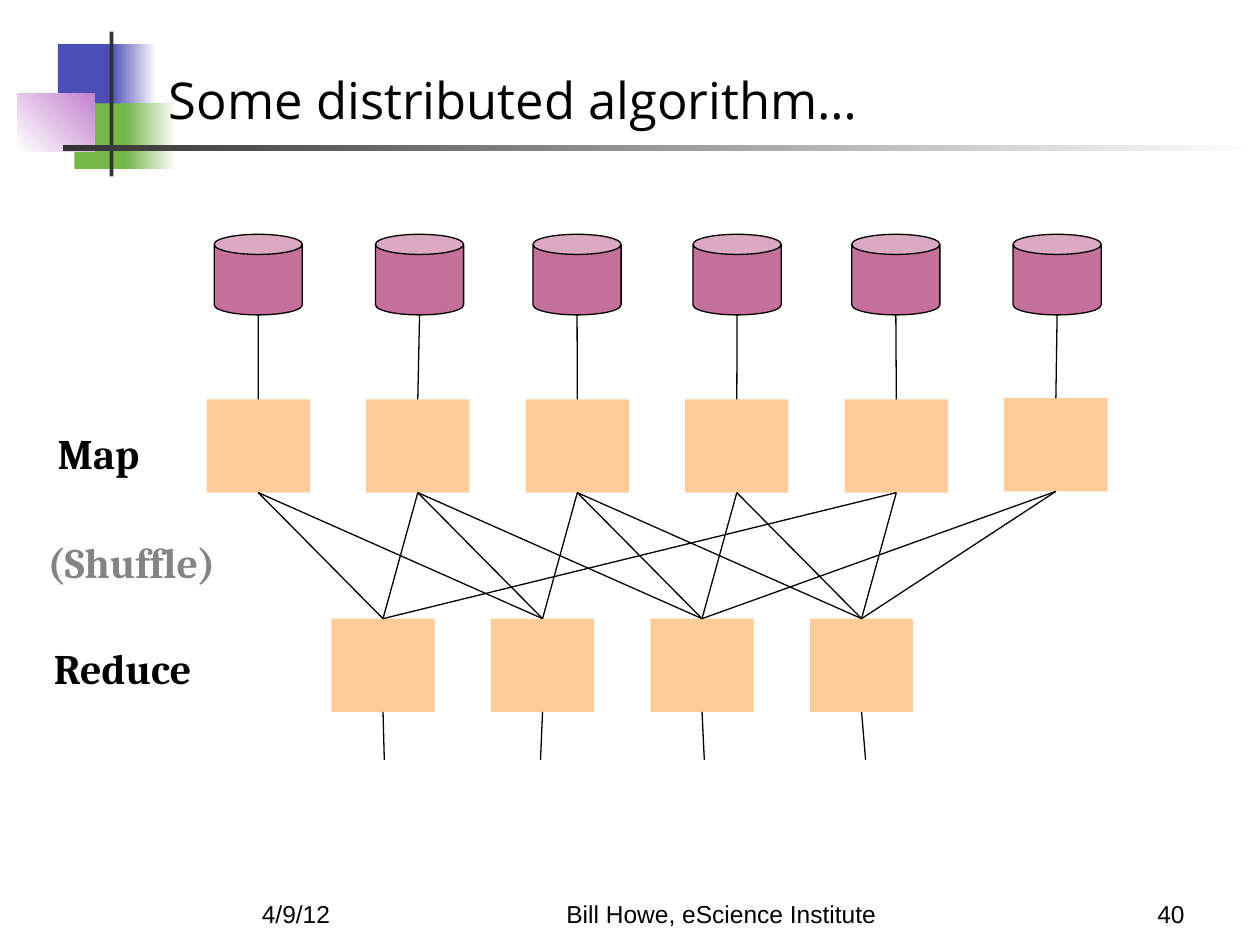
import pptx
import pptx.dml.color
import pptx.enum.shapes
import pptx.enum.text
import pptx.oxml.ns
import pptx.util
from lxml import etree

Inches = pptx.util.Inches
Shape = pptx.enum.shapes.MSO_SHAPE
Anchor = pptx.enum.text.MSO_ANCHOR
Align = pptx.enum.text.PP_ALIGN

COLORS = {
    "blue": "4B4EB5", "green": "76B749", "violet": "C481CF", "dark": "333333",
    "white": "FFFFFF", "black": "000000", "gray": "848484",
    "task": "FFCC99", "disk": "C4709A",
}


def rgb(name):
    return pptx.dml.color.RGBColor.from_string(COLORS[name])


def write_text(shape, text, font="Arial", size=14, color="black", bold=False,
               align=Align.LEFT, anchor=Anchor.TOP):
    frame = shape.text_frame
    frame.word_wrap = True
    frame.auto_size = pptx.enum.text.MSO_AUTO_SIZE.NONE
    frame.vertical_anchor = anchor
    para = frame.paragraphs[0]
    para.alignment = align
    span = para.add_run()
    span.text = text
    span.font.name = font
    span.font.size = pptx.util.Pt(size)
    span.font.bold = bold
    span.font.color.rgb = rgb(color)


class SlideBuilder:
    line_width = pptx.util.Pt(0.75)

    def __init__(self, page):
        self.page = page

    def shape(self, kind, left, top, width, height, fill, outline=None):
        """Add a preset shape; a (start, end, angle) fill makes a gradient."""
        shape = self.page.shapes.add_shape(
            kind, Inches(left), Inches(top), Inches(width), Inches(height))
        shape.shadow.inherit = False
        if isinstance(fill, tuple):
            start, end, angle = fill
            shape.fill.gradient()
            shape.fill.gradient_angle = angle
            for stop, color in zip(shape.fill.gradient_stops, (start, end)):
                stop.color.rgb = rgb(color)
        else:
            shape.fill.solid()
            shape.fill.fore_color.rgb = rgb(fill)
        if outline:
            shape.line.color.rgb = rgb(outline)
            shape.line.width = self.line_width
        else:
            shape.line.fill.background()
        return shape

    def line(self, start=(0, 0), end=(0, 0), source=None, target=None):
        """Join the bottom of source, or start, to the top of target, or end."""
        line = self.page.shapes.add_connector(
            pptx.enum.shapes.MSO_CONNECTOR.STRAIGHT,
            *(Inches(value) for value in (*start, *end)))
        if source is not None:
            line.begin_connect(source, 2)
        if target is not None:
            line.end_connect(target, 0)
        line.line.color.rgb = rgb("black")
        line.line.width = self.line_width
        etree.SubElement(line.element.spPr, pptx.oxml.ns.qn("a:effectLst"))

    def text(self, left, top, width, text, **style):
        box = self.page.shapes.add_textbox(
            Inches(left), Inches(top), Inches(width), Inches(0.5))
        write_text(box, text, **style)

    def title(self, text, left, top, width, height):
        title = self.page.shapes.title
        title.left, title.top = Inches(left), Inches(top)
        title.width, title.height = Inches(width), Inches(height)
        write_text(title, text, font="Open Sans", size=29, anchor=Anchor.BOTTOM)
        # Keep the title in front of the decoration drawn so far.
        title.element.getparent().append(title.element)


def draw_frame(builder):
    for left, top, width, height, fill in (
        (0.46, 0.35, 0.48, 0.52, "blue"),
        (0.88, 0.35, 0.36, 0.52, ("blue", "white", 0)),
        (0.59, 0.82, 0.46, 0.52, "green"),
        (1, 0.82, 0.4, 0.52, ("green", "white", 0)),
        (0.14, 0.74, 0.61, 0.46, ("white", "violet", 45)),
        (0.87, 0.25, 0.03, 1.15, "dark"),
        (0.5, 1.15, 9.5, 0.05, ("dark", "white", 0)),
    ):
        builder.shape(Shape.RECTANGLE, left, top, width, height, fill)
    for left, width, text, align in (
        (1.98, 2.08, "4/9/12", Align.LEFT),
        (4.14, 3.17, "Bill Howe, eScience Institute", Align.CENTER),
        (7.42, 2.08, "40", Align.RIGHT),
    ):
        builder.text(left, 6.92, width, text, align=align, anchor=Anchor.BOTTOM)
    builder.title("Some distributed algorithm…", 1.24, 0.35, 8.52, 0.73)


def draw_tasks(builder, left, tops):
    pitch = 1.266
    return [builder.shape(Shape.RECTANGLE, left + index * pitch, top, 0.82, 0.74, "task")
            for index, top in enumerate(tops)]


def draw_flow(builder):
    mappers = draw_tasks(builder, 1.64, [3.17] * 5 + [3.16])
    reducers = draw_tasks(builder, 2.63, [4.91] * 4)

    reducers_of_mapper = ((0, 1), (0, 1, 2), (1, 2, 3), (2, 3), (0, 3), (2, 3))
    for mapper, targets in zip(mappers, reducers_of_mapper):
        for target in targets:
            builder.line(source=mapper, target=reducers[target])

    for mapper, left in zip(mappers, (1.7, 2.98, 4.23, 5.5, 6.76, 8.04)):
        builder.line(start=(left + 0.35, 2.5), target=mapper)
        builder.shape(Shape.CAN, left, 1.86, 0.7, 0.64, "disk", outline="black")

    for reducer, end in zip(reducers, (3.05, 4.29, 5.59, 6.87)):
        builder.line(source=reducer, end=(end, 6.03))

    for left, top, width, text, color in (
        (0.36, 3.34, 1.01, "Map", "black"),
        (0.28, 4.21, 1.58, "(Shuffle)", "gray"),
        (0.33, 5.05, 1.3, "Reduce", "black"),
    ):
        builder.text(left, top, width, text, font="Cambria", size=24,
                     color=color, bold=True)


def main():
    deck = pptx.Presentation()
    deck.slide_width, deck.slide_height = Inches(10), Inches(7.5)
    title_only = deck.slide_layouts[5]
    builder = SlideBuilder(deck.slides.add_slide(title_only))
    draw_frame(builder)
    draw_flow(builder)
    deck.save("out.pptx")


if __name__ == "__main__":
    main()
